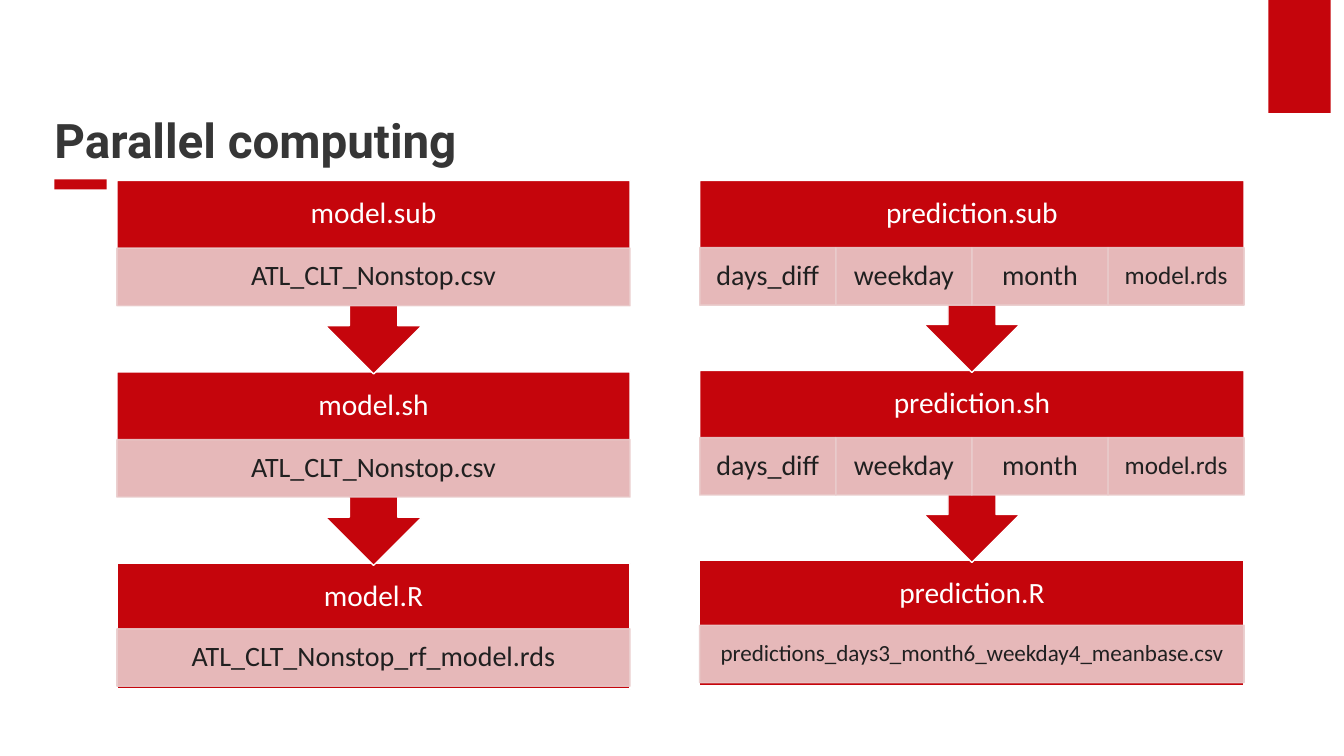
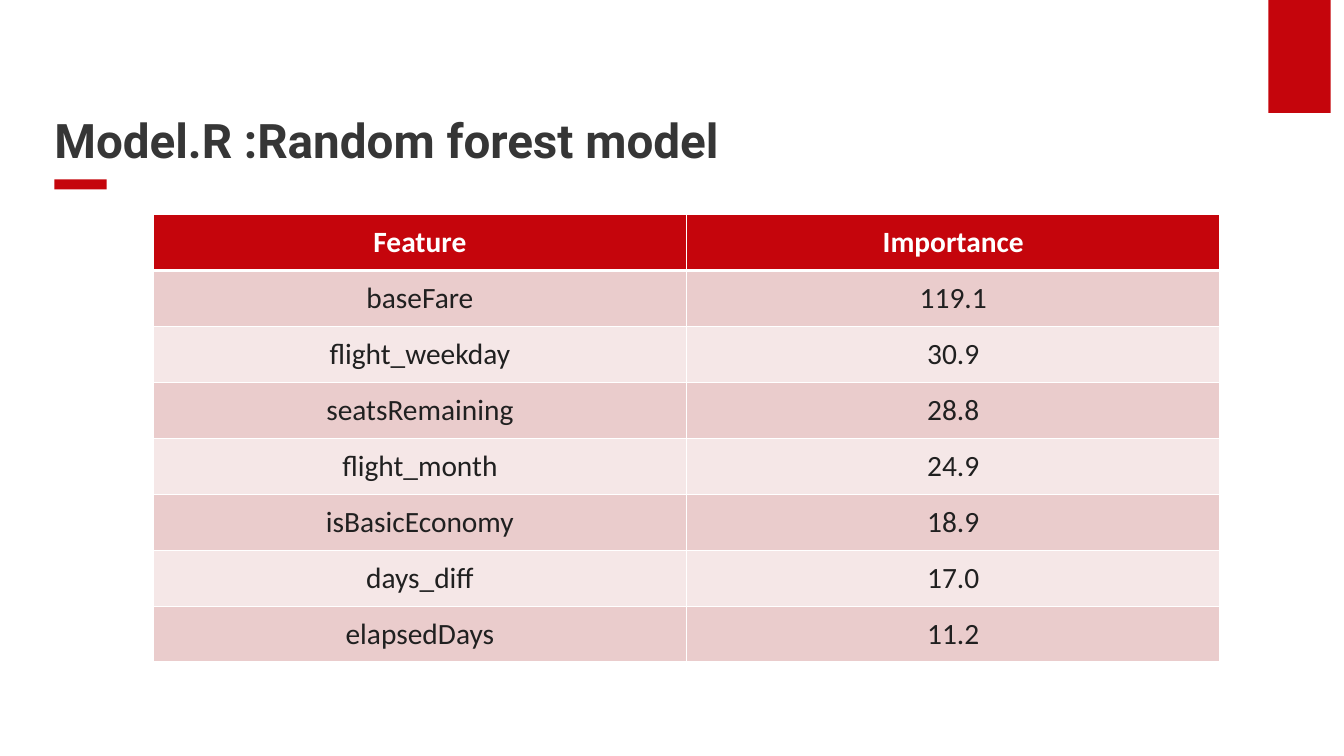
from lxml import etree
from pptx import Presentation
from pptx import util as u
from pptx.dml.color import RGBColor
from pptx.enum import shapes, text
from pptx.oxml.ns import qn

WIDTH, HEIGHT = u.Inches(13.33), u.Inches(7.5)
COLORS = {
    "red": "C5050C",
    "pink": "EACCCC",
    "pale": "F5E7E7",
    "white": "FFFFFF",
    "title": "363636",
    "ink": "202020",
}
TITLE_BOX = (4.05, 6.67, 87.55, 15.6)
BANDS = [(94.37, 0, 4.65, 14.93), (4.05, 23.73, 3.9, 1.33)]

# Flow measures, in percent of the slide's height
FLOW_TOP = 23.87
HEADER_HEIGHT = 8.93
INPUT_HEIGHT = 7.6
OVERLAP = 0.27
BOX_SHARE = 0.65  # part of a callout that is not arrow

INPUTS = [("days_diff", 20), ("weekday", 20), ("month", 20), ("model.rds", 18)]
MODEL_STEPS = [
    ("model.sub", [("ATL_CLT_Nonstop.csv", 20)]),
    ("model.sh", [("ATL_CLT_Nonstop.csv", 20)]),
    ("model.R", [("ATL_CLT_Nonstop_rf_model.rds", 20)]),
]
PREDICTION_STEPS = [
    ("prediction.sub", INPUTS),
    ("prediction.sh", INPUTS),
    ("prediction.R", [("predictions_days3_month6_weekday4_meanbase.csv", 16.5)]),
]
IMPORTANCE = [
    ("Feature", "Importance"),
    ("baseFare", "119.1"),
    ("flight_weekday", "30.9"),
    ("seatsRemaining", "28.8"),
    ("flight_month", "24.9"),
    ("isBasicEconomy", "18.9"),
    ("days_diff", "17.0"),
    ("elapsedDays", "11.2"),
]


def rgb(name):
    return RGBColor.from_string(COLORS[name])


def place(left, top, width, height):
    """Turn percentages of the slide's size into lengths."""
    return (int(WIDTH * left / 100), int(HEIGHT * top / 100),
            int(WIDTH * width / 100), int(HEIGHT * height / 100))


def write(frame, words, size=21, color="ink", font="Calibri", bold=False,
          align=text.PP_ALIGN.CENTER, anchor=text.MSO_ANCHOR.MIDDLE,
          margins=(0.13, 0.03, 0.13, 0.03), spacing=0.9):
    frame.word_wrap = True
    frame.vertical_anchor = anchor
    (frame.margin_left, frame.margin_top,
     frame.margin_right, frame.margin_bottom) = map(u.Inches, margins)
    paragraph = frame.paragraphs[0]
    paragraph.alignment = align
    paragraph.line_spacing = spacing
    run = paragraph.add_run()
    run.text = words
    run.font.size = u.Pt(size)
    run.font.name = font
    run.font.bold = bold
    run.font.color.rgb = rgb(color)


def add_block(slide, box, fill="red", line=None, alpha=None,
              preset=shapes.MSO_SHAPE.RECTANGLE):
    block = slide.shapes.add_shape(preset, *place(*box))
    block.shadow.inherit = False
    block.fill.solid()
    block.fill.fore_color.rgb = rgb(fill)
    if line:
        block.line.color.rgb = rgb(line)
        block.line.width = u.Pt(1)
    else:
        block.line.fill.background()
    if alpha:
        for color in block.element.spPr.iter(qn("a:srgbClr")):
            etree.SubElement(color, qn("a:alpha")).set("val", str(alpha * 1000))
    return block


def prepare_layout(prs, layout):
    """Put the title position and the red bands on the layout."""
    title = layout.placeholders[0]
    title.left, title.top, title.width, title.height = place(*TITLE_BOX)
    first_slide = prs.slides.add_slide(layout)
    for box in BANDS:
        band = add_block(first_slide, box)
        layout.shapes.element.append(band.element)
    return first_slide


def add_title(slide, words):
    write(slide.shapes.title.text_frame, words, size=34, color="title",
          font="Roboto", bold=True, align=text.PP_ALIGN.LEFT,
          anchor=text.MSO_ANCHOR.BOTTOM, margins=(0, 0.05, 0.1, 0))


def add_flow(slide, left, width, steps, last_top):
    """Stack the steps from the bottom up, so each arrow lies over the next box."""
    pitch = (last_top - FLOW_TOP) / (len(steps) - 1)
    callout_height = pitch + OVERLAP
    box_height = callout_height * BOX_SHARE
    for index, (script, files) in reversed(list(enumerate(steps))):
        top = FLOW_TOP + index * pitch
        if index == len(steps) - 1:
            add_block(slide, (left, top, width, box_height), line="white")
            files_top = top + box_height * 0.52
        else:
            callout = add_block(slide, (left, top, width, callout_height), line="white",
                                preset=shapes.MSO_SHAPE.UP_ARROW_CALLOUT)
            callout.rotation = 180
            files_top = top + callout_height * 0.35
        header = slide.shapes.add_textbox(*place(left, top, width, HEADER_HEIGHT))
        write(header.text_frame, script, color="white", margins=(0.16,) * 4)
        cell_width = width / len(files)
        for column, (name, size) in enumerate(files):
            cell = add_block(
                slide, (left + column * cell_width, files_top, cell_width, INPUT_HEIGHT),
                fill="pink", line="pink", alpha=90)
            write(cell.text_frame, name, size=size)


def set_borders(cell, **points):
    """Draw white borders; the sides L, R, T and B are given in points."""
    properties = cell._tc.get_or_add_tcPr()
    for position, (side, width) in enumerate(points.items()):
        line = etree.Element(qn(f"a:ln{side}"), w=str(u.Pt(width)))
        fill = etree.SubElement(line, qn("a:solidFill"))
        etree.SubElement(fill, qn("a:srgbClr"), val=COLORS["white"])
        properties.insert(position, line)


def add_importance_table(slide, box, rows):
    table = slide.shapes.add_table(len(rows), len(rows[0]), *place(*box)).table
    table.horz_banding = False
    for r, row in enumerate(rows):
        is_header = r == 0
        fill = "red" if is_header else ("pale", "pink")[r % 2]
        for c, words in enumerate(row):
            cell = table.cell(r, c)
            cell.fill.solid()
            cell.fill.fore_color.rgb = rgb(fill)
            cell.vertical_anchor = text.MSO_ANCHOR.MIDDLE
            write(cell.text_frame, words, color="white" if is_header else "ink",
                  bold=is_header, spacing=1.0)
            set_borders(cell, L=1, R=1, T=3 if r == 1 else 1, B=3 if is_header else 1)


def main():
    prs = Presentation()
    prs.slide_width, prs.slide_height = WIDTH, HEIGHT
    layout = prs.slide_layouts.get_by_name("Title Only")

    computing = prepare_layout(prs, layout)
    add_title(computing, "Parallel computing")
    add_flow(computing, 8.7, 38.18, MODEL_STEPS, last_top=74.53)
    add_flow(computing, 52.06, 40.51, PREDICTION_STEPS, last_top=74.13)

    forest = prs.slides.add_slide(layout)
    add_title(forest, "Model.R :Random forest model")
    add_importance_table(forest, (11.4, 28.4, 79.37, 59.2), IMPORTANCE)

    prs.save("out.pptx")


if __name__ == "__main__":
    main()
